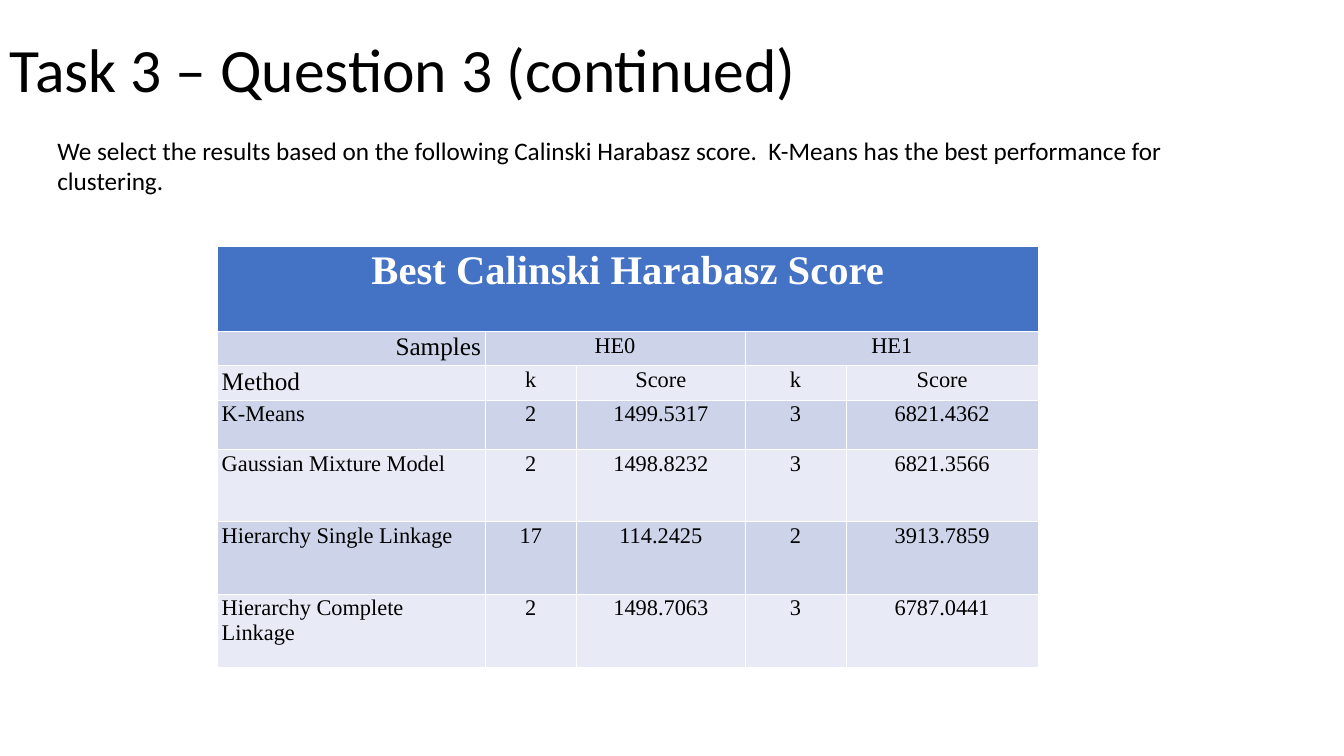
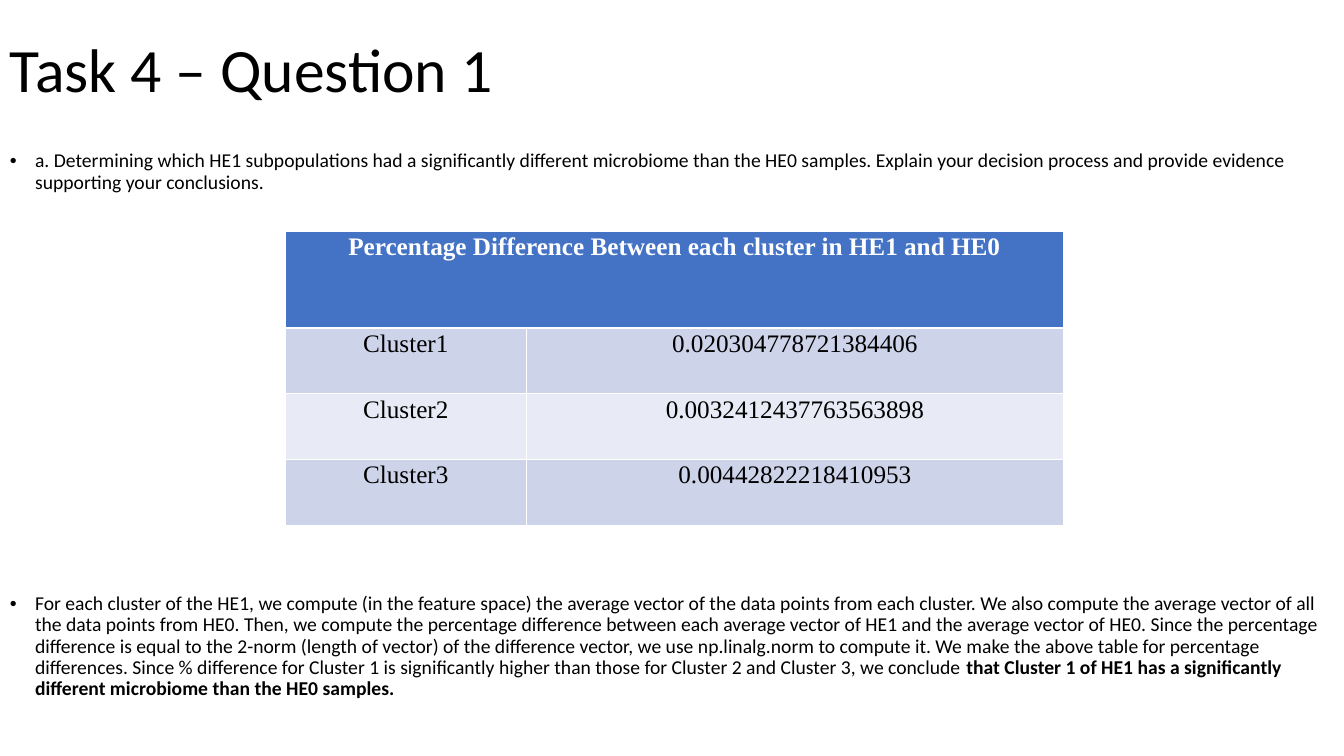
from lxml import etree
from pptx import Presentation
from pptx import util as u
from pptx.dml.color import RGBColor
from pptx.enum import text as t
from pptx.oxml import ns

WIDE, HIGH = u.Inches(13.33), u.Inches(7.5)
BLACK = RGBColor(0x00, 0x00, 0x00)
WHITE = RGBColor(0xFF, 0xFF, 0xFF)
BLUE = RGBColor(0x44, 0x72, 0xC4)
BANDS = RGBColor(0xCD, 0xD4, 0xEA), RGBColor(0xE8, 0xEB, 0xF5)
SANS, SERIF = "Calibri", "Times New Roman"
LEFT, MID, RIGHT = t.PP_ALIGN.LEFT, t.PP_ALIGN.CENTER, t.PP_ALIGN.RIGHT
THIN, THICK = u.Pt(0.4), u.Pt(1.2)

SCORES = [
    ["Best Calinski Harabasz Score", None, None, None, None],
    ["Samples", "HE0", None, "HE1", None],
    ["Method", "k", "Score", "k", "Score"],
    ["K-Means", "2", "1499.5317", "3", "6821.4362"],
    ["Gaussian Mixture Model", "2", "1498.8232", "3", "6821.3566"],
    ["Hierarchy Single Linkage", "17", "114.2425", "2", "3913.7859"],
    ["Hierarchy Complete Linkage", "2", "1498.7063", "3", "6787.0441"],
]
GAPS = [
    ["Percentage Difference Between each cluster in HE1 and HE0", None],
    ["Cluster1", "0.020304778721384406"],
    ["Cluster2", "0.0032412437763563898"],
    ["Cluster3", "0.00442822218410953"],
]
TASK = (
    "a. Determining which HE1 subpopulations had a significantly different "
    "microbiome than the HE0 samples. Explain your decision process and "
    "provide evidence supporting your conclusions."
)
PROOF = (
    "For each cluster of the HE1, we compute (in the feature space) the "
    "average vector of the data points from each cluster. We also compute the "
    "average vector of all the data points from HE0. Then, we compute the "
    "percentage difference between each average vector of HE1 and the average "
    "vector of HE0. Since the percentage difference is equal to the 2-norm "
    "(length of vector) of the difference vector, we use np.linalg.norm to "
    "compute it. We make the above table for percentage differences. Since % "
    "difference for Cluster 1 is significantly higher than those for Cluster 2 "
    "and Cluster 3, we conclude "
)
RESULT = (
    "that Cluster 1 of HE1 has a significantly different microbiome than the "
    "HE0 samples."
)


def place(x, y, w, h):
    """Turn percentages of the slide into lengths."""
    return [int(side * share / 100)
            for side, share in zip((WIDE, HIGH, WIDE, HIGH), (x, y, w, h))]


def write(frame, *words, size=18, font=SANS, color=BLACK, bold=False,
          strong="", align=LEFT, lead=1.0, bullet=False):
    """Fill a frame with one paragraph; strong is a bold ending."""
    para = frame.paragraphs[0]
    if bullet:
        props = para._p.get_or_add_pPr()
        props.set("marL", str(u.Inches(0.25)))
        props.set("indent", str(-u.Inches(0.25)))
        etree.SubElement(props, ns.qn("a:buFont"), typeface="Arial")
        etree.SubElement(props, ns.qn("a:buChar"), char="•")
    para.alignment, para.line_spacing = align, lead
    for word in (*words, strong):
        if word:
            run = para.add_run()
            run.text = word
            run.font.size, run.font.name = u.Pt(size), font
            run.font.bold = bold or word == strong
            run.font.color.rgb = color


def label(slide, area, *words, anchor=t.MSO_ANCHOR.TOP, **style):
    frame = slide.shapes.add_textbox(*place(*area)).text_frame
    frame.word_wrap = True
    frame.vertical_anchor = anchor
    write(frame, *words, **style)


def edge(cell, row):
    """Rule a cell in white, thicker under the header row."""
    props = cell._tc.get_or_add_tcPr()
    widths = {"L": THIN, "R": THIN,
              "T": THICK if row == 1 else THIN,
              "B": THICK if row == 0 else THIN}
    for spot, (side, width) in enumerate(widths.items()):
        line = etree.Element(ns.qn("a:ln" + side), w=str(int(width)))
        fill = etree.SubElement(line, ns.qn("a:solidFill"))
        etree.SubElement(fill, ns.qn("a:srgbClr"), val=str(WHITE))
        props.insert(spot, line)


def grid(slide, area, data, cols, rows, style):
    """Draw a table; None joins a cell to its left neighbour.

    cols and rows are weights; style(row, col) gives the text format.
    """
    box = place(*area)
    table = slide.shapes.add_table(len(rows), len(cols), *box).table
    table.horz_banding = False
    for col, part in zip(table.columns, cols):
        col.width = int(box[2] * part / sum(cols))
    for row, part in zip(table.rows, rows):
        row.height = int(box[3] * part / sum(rows))
    for r, line in enumerate(data):
        for c, word in enumerate(line):
            cell = table.cell(r, c)
            cell.margin_left = cell.margin_right = u.Inches(0.04)
            cell.margin_top = cell.margin_bottom = u.Inches(0.02)
            cell.fill.solid()
            cell.fill.fore_color.rgb = BANDS[(r - 1) % 2] if r else BLUE
            edge(cell, r)
            if word is None:
                continue
            end = c + 1
            while end < len(line) and line[end] is None:
                end += 1
            if end > c + 1:
                cell.merge(table.cell(r, end - 1))
            write(cell.text_frame, word, font=SERIF, bold=r == 0,
                  color=BLACK if r else WHITE, **style(r, c))


def score(row, col):
    if row == 0:
        return dict(size=29, align=MID)
    if col:
        return dict(size=16, align=MID)
    return dict(size=18 if row < 3 else 16, align=RIGHT if row == 1 else LEFT)


def plain(row, col):
    return dict(size=18, align=MID)


def start(deck, title):
    """Add a blank slide with its title."""
    slide = deck.slides.add_slide(deck.slide_layouts[6])
    label(slide, (0, 0, 86.27, 19.33), title, size=44, lead=0.9,
          anchor=t.MSO_ANCHOR.MIDDLE)
    return slide


def point(slide, top, high, *words, **style):
    label(slide, (0, top, 100, high), *words, size=14, lead=0.9,
          bullet=True, **style)


def main():
    deck = Presentation()
    deck.slide_width, deck.slide_height = WIDE, HIGH

    slide = start(deck, "Task 3 – Question 3 (continued)")
    label(slide, (3.53, 17.2, 87.4, 9.47),
          "We select the results based on the following Calinski Harabasz "
          "score.  K-Means has the best performance for clustering.")
    grid(slide, (16.2, 32.53, 61.07, 55.2), SCORES,
         (2.65, 0.91, 1.67, 1, 1.91),
         (0.85, 0.32, 0.32, 0.49, 0.72, 0.72, 0.73), score)

    slide = start(deck, "Task 4 – Question 1")
    point(slide, 19.33, 7, TASK)
    grid(slide, (21.23, 30.53, 57.91, 38.93), GAPS,
         (2.39, 5.33), (0.96, 0.65, 0.65, 0.65), plain)
    point(slide, 77.9, 16, PROOF, strong=RESULT)

    deck.save("out.pptx")


if __name__ == "__main__":
    main()
